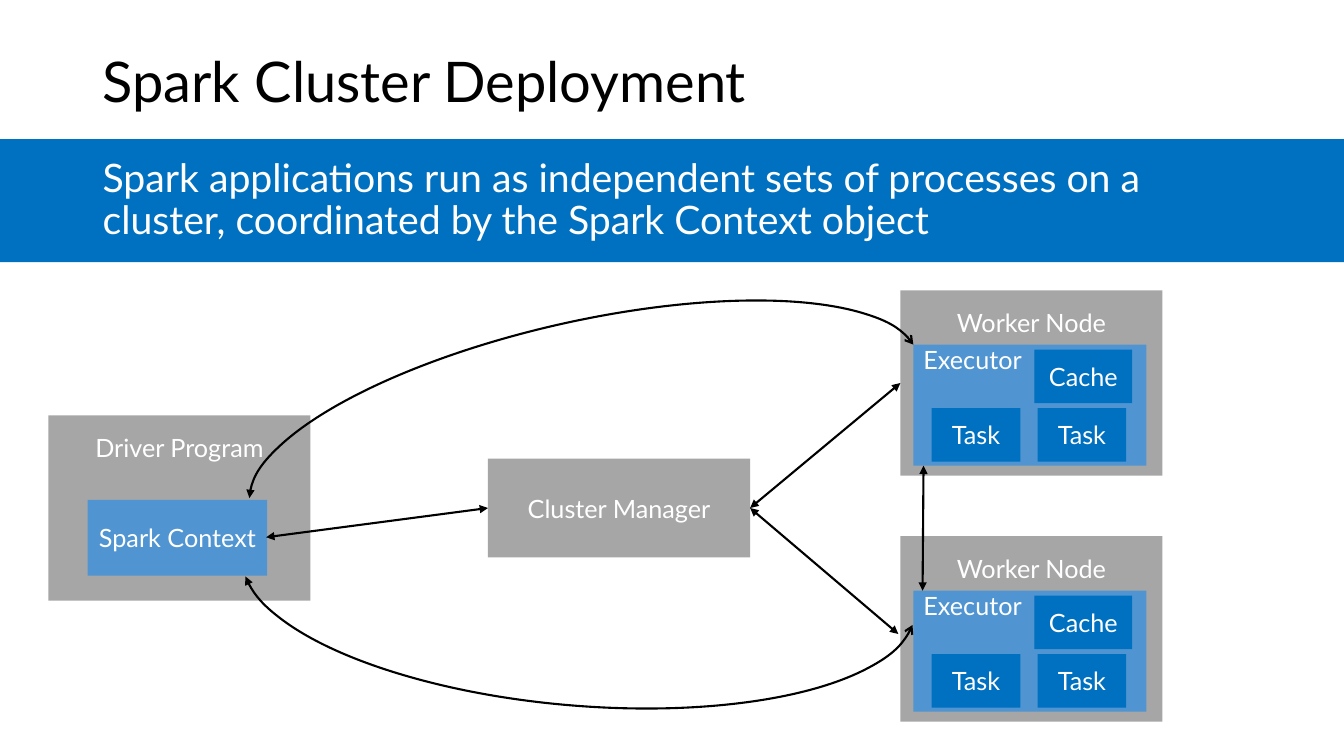
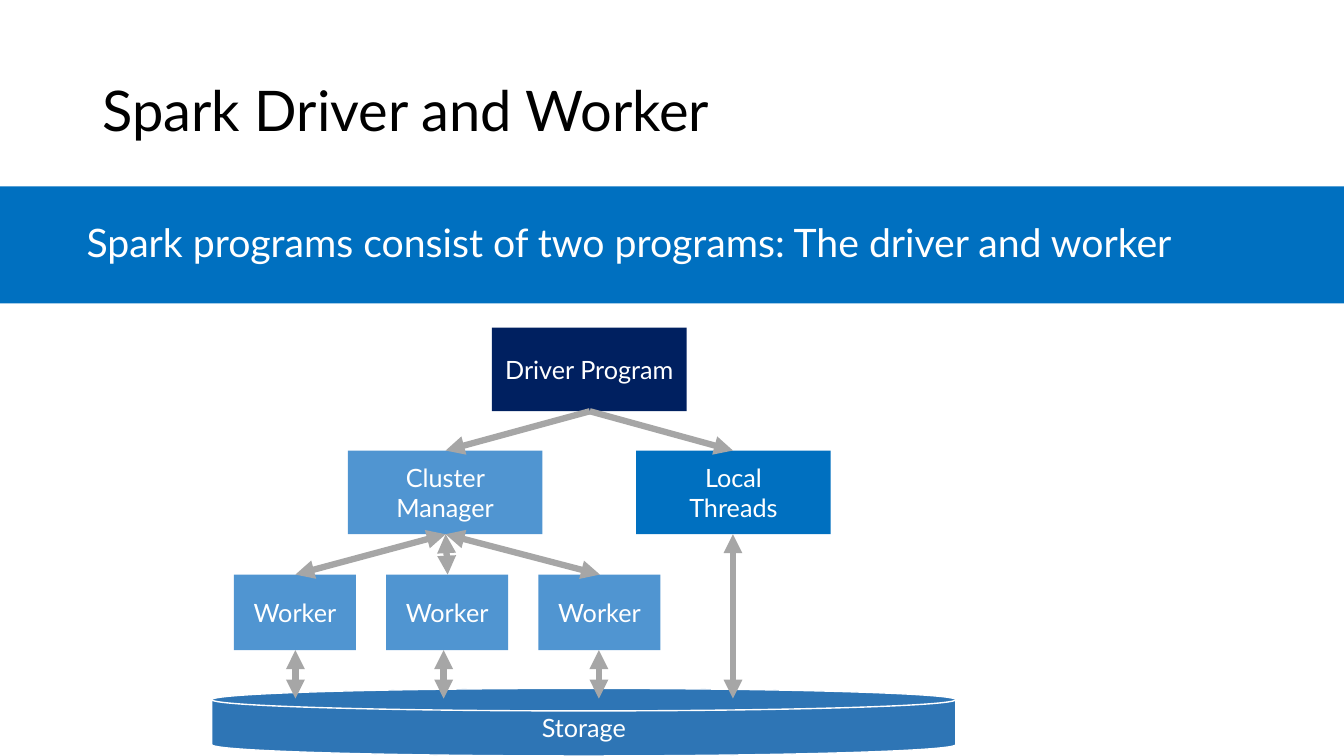
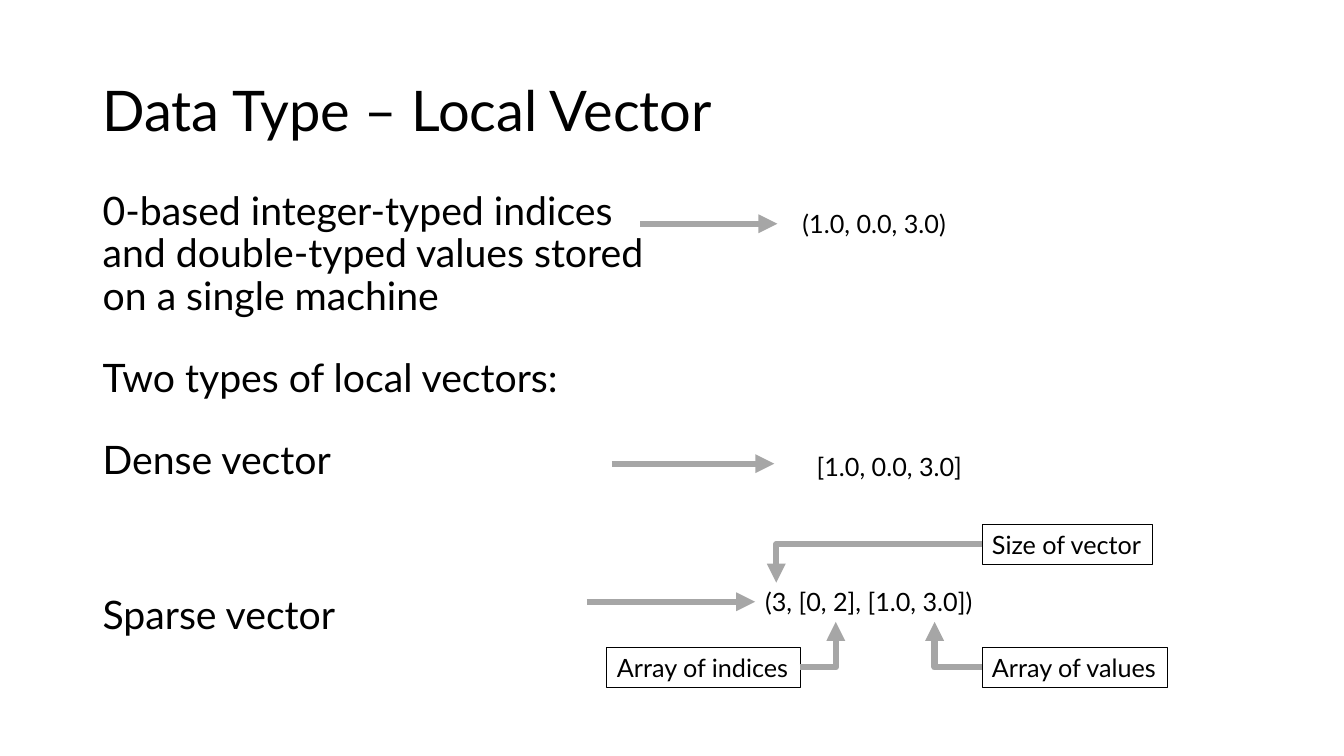
from lxml.etree import SubElement
from pptx import Presentation
from pptx.dml.color import RGBColor
from pptx.enum.shapes import MSO_CONNECTOR, MSO_SHAPE
from pptx.enum.text import MSO_ANCHOR, PP_ALIGN
from pptx.oxml.ns import qn
from pptx.util import Emu, Pt

EMU_PER_PX = 9144
SLIDE_WIDTH, SLIDE_HEIGHT = 1333, 750
FONT = "Lato"
BLACK = RGBColor(0x00, 0x00, 0x00)
WHITE = RGBColor(0xFF, 0xFF, 0xFF)
GRAY = RGBColor(0xA6, 0xA6, 0xA6)
BLUE = RGBColor(0x00, 0x70, 0xC0)
LIGHT_BLUE = RGBColor(0x50, 0x95, 0xD1)
DISK_BLUE = RGBColor(0x2E, 0x75, 0xB5)
NAVY = RGBColor(0x00, 0x20, 0x60)


def px(length):
    return Emu(length * EMU_PER_PX)


def write(frame, text, size=18, color=WHITE, align=PP_ALIGN.CENTER,
          anchor=MSO_ANCHOR.MIDDLE, inset=5, spacing=None, gaps=(), wrap=True):
    frame.word_wrap = wrap
    frame.vertical_anchor = anchor
    frame.margin_left = frame.margin_right = px(10)
    frame.margin_top, frame.margin_bottom = px(inset), px(5)
    for index, line in enumerate(text.split("\n")):
        para = frame.add_paragraph() if index else frame.paragraphs[0]
        para.alignment = align
        if spacing:
            para.line_spacing = spacing
        if index and gaps:
            para.space_before = Pt(gaps[index - 1])
        span = para.add_run()
        span.text = line
        span.font.name = FONT
        span.font.size = Pt(size)
        span.font.color.rgb = color


class SlideBuilder:
    """Hold the deck style and the current slide, and draw elements on it."""

    def __init__(self):
        self.deck = Presentation()
        self.deck.slide_width = px(SLIDE_WIDTH)
        self.deck.slide_height = px(SLIDE_HEIGHT)
        self.shapes = None

    def page(self, title, title_top=40):
        self.shapes = self.deck.slides.add_slide(self.deck.slide_layouts[6]).shapes
        self.text(92, title_top, 1150, 145, title, size=40, spacing=0.9,
                  align=PP_ALIGN.LEFT)

    def text(self, left, top, width, height, text, **style):
        box = self.shapes.add_textbox(px(left), px(top), px(width), px(height))
        write(box.text_frame, text, **{"color": BLACK, **style})

    def box(self, left, top, width, height, text="", fill=None, outline=None,
            line_width=0.75, kind=MSO_SHAPE.RECTANGLE, **style):
        box = self.shapes.add_shape(kind, px(left), px(top), px(width), px(height))
        box.shadow.inherit = False
        if fill is None:
            box.fill.background()
        else:
            box.fill.solid()
            box.fill.fore_color.rgb = fill
        if outline is None:
            box.line.fill.background()
        else:
            box.line.color.rgb = outline
            box.line.width = Pt(line_width)
        if text:
            write(box.text_frame, text, **style)
        return box

    def band(self, top, height, text, left, width):
        self.box(0, top, SLIDE_WIDTH, height, fill=BLUE)
        self.text(left, top, width, height, text, size=28, color=WHITE,
                  spacing=0.9, align=PP_ALIGN.LEFT)

    def label(self, left, top, width, text):
        self.box(left, top, width, 40, text, outline=BLACK, color=BLACK,
                 align=PP_ALIGN.LEFT, wrap=False)

    def add_heads(self, shape, head, tail):
        line = shape.line._get_or_add_ln()
        for tag, kind in (("a:headEnd", head), ("a:tailEnd", tail)):
            if kind:
                SubElement(line, qn(tag)).set("type", kind)

    def arrow(self, start, end, color=GRAY, line_width=4.5, both=False, bent=False):
        kind = MSO_CONNECTOR.ELBOW if bent else MSO_CONNECTOR.STRAIGHT
        arrow = self.shapes.add_connector(
            kind, *(px(length) for length in (*start, *end)))
        arrow.line.color.rgb = color
        arrow.line.width = Pt(line_width)
        self.add_heads(arrow, "triangle" if both else None, "triangle")
        properties = arrow._element.spPr
        if bent:
            properties.find(qn("a:prstGeom")).set("prst", "bentConnector2")
        SubElement(properties, qn("a:effectLst"))

    def arc(self, left, top, width, height, rotation, start, end, flip=False):
        arc = self.box(left, top, width, height, outline=BLACK, line_width=1.5,
                       kind=MSO_SHAPE.ARC)
        arc.adjustments[0], arc.adjustments[1] = start, end
        arc.rotation = rotation
        if flip:
            arc._element.spPr.find(qn("a:xfrm")).set("flipV", "1")
        self.add_heads(arc, "triangle", "arrow")

    def container(self, left, top, text):
        self.box(left, top, 260, 184, text, GRAY, anchor=MSO_ANCHOR.TOP, inset=17)

    def worker_node(self, left, top):
        self.container(left, top, "Worker Node")
        self.box(left + 13, top + 54, 231, 120, "Executor", LIGHT_BLUE,
                 align=PP_ALIGN.LEFT, anchor=MSO_ANCHOR.TOP, inset=0)
        for across, down, width, text in ((133, 59, 97, "Cache"),
                                          (31, 117, 88, "Task"),
                                          (136, 117, 88, "Task")):
            self.box(left + across, top + down, width, 53, text, BLUE)


def draw_deployment(builder):
    builder.page("Spark Cluster Deployment", title_top=11)
    builder.band(138, 122, "Spark applications run as independent sets of processes "
                 "on a cluster, coordinated by the Spark Context object", 92, 1119)
    builder.container(48, 412, "Driver Program")
    builder.box(87, 496, 178, 75, "Spark Context", LIGHT_BLUE)
    builder.box(484, 455, 260, 98, "Cluster Manager", GRAY)
    for top in (288, 532):
        builder.worker_node(893, top)
    builder.arc(240, 319, 679, 218, 347.3, 108.86, 214.75)
    builder.arc(239, 459, 670, 241, 4.9, 110.15, 214.75, flip=True)
    for start, end in (((264, 533), (484, 504)), ((744, 504), (893, 380)),
                       ((744, 504), (891, 629)), ((916, 462), (915, 586))):
        builder.arrow(start, end, BLACK, 1.5, both=True)


def draw_driver_and_worker(builder):
    builder.page("Spark Driver and Worker")
    builder.band(185, 116, "Spark programs consist of two programs: "
                 "The driver and worker", 76, 1188)
    builder.box(210, 683, 738, 67, "Storage", DISK_BLUE, WHITE, 1,
                MSO_SHAPE.FLOWCHART_MAGNETIC_DISK)
    for left, top, text, fill in ((488, 325, "Driver Program", NAVY),
                                  (345, 447, "Cluster Manager", LIGHT_BLUE),
                                  (631, 447, "Local\nThreads", BLUE)):
        builder.box(left, top, 193, 83, text, fill)
    for center in (442, 727):
        builder.arrow((585, 408), (center, 447))
    builder.arrow((727, 530), (727, 693), both=True)
    for index, storage_x in enumerate((293, 440, 594)):
        left = 232 + 151 * index
        builder.box(left, 570, 121, 75, "Worker", LIGHT_BLUE)
        builder.arrow((442, 530), (left + 61, 570), both=True)
        builder.arrow((storage_x, 645), (storage_x, 693), both=True)


def draw_local_vector(builder):
    builder.page("Data Type – Local Vector")
    builder.text(92, 185, 572, 519,
                 "0-based integer-typed indices and double-typed values stored "
                 "on a single machine\nTwo types of local vectors:\n"
                 "Dense vector\nSparse vector",
                 size=28, spacing=0.9, gaps=(28.6, 28.6, 80.5),
                 align=PP_ALIGN.LEFT, anchor=MSO_ANCHOR.TOP)
    builder.text(771, 202, 192, 40, "(1.0, 0.0, 3.0)")
    builder.text(786, 443, 192, 40, "[1.0, 0.0, 3.0]")
    builder.text(749, 577, 356, 40, "(3, [0, 2], [1.0, 3.0])", align=PP_ALIGN.LEFT)
    builder.label(602, 642, 192, "Array of indices")
    builder.label(974, 642, 184, "Array of values")
    builder.label(974, 520, 169, "Size of vector")
    for start, end in (((793, 662), (829, 617)), ((974, 662), (927, 617)),
                       ((974, 540), (770, 578))):
        builder.arrow(start, end, bent=True)
    for left, right, height in ((635, 771, 222), (607, 768, 460), (582, 749, 597)):
        builder.arrow((left, height), (right, height))


def main():
    builder = SlideBuilder()
    draw_deployment(builder)
    draw_driver_and_worker(builder)
    draw_local_vector(builder)
    builder.deck.save("out.pptx")


if __name__ == "__main__":
    main()
